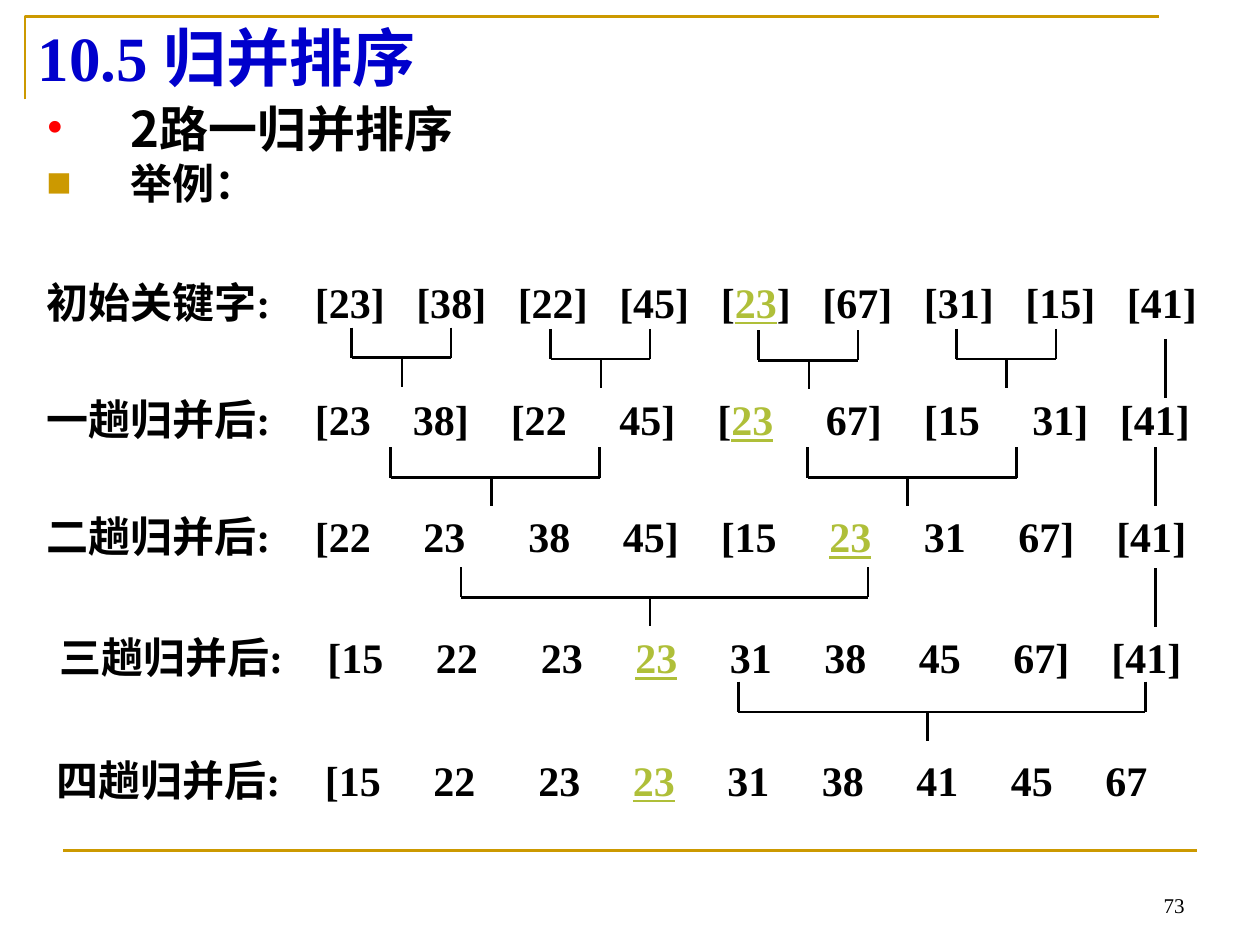
from dataclasses import dataclass

from lxml.etree import SubElement as Sub
from pptx import Presentation
from pptx.dml.color import RGBColor as RGB
from pptx.enum.shapes import MSO_CONNECTOR as Conn
from pptx.enum.text import MSO_ANCHOR as Anchor, PP_ALIGN as Align
from pptx.oxml.ns import qn
from pptx.util import Inches, Pt


@dataclass(frozen=True)
class Theme:
    serif: str = "Times New Roman"
    sans: str = "Noto Sans CJK SC"
    black: str = "000000"
    blue: str = "0000CC"
    gold: str = "CC9900"
    red: str = "FF0000"
    green: str = "AFBF39"
    title: int = 36
    head: int = 28
    text: int = 24
    page: int = 12
    line: float = 1.5


@dataclass(frozen=True)
class Row:
    """One sorting pass; gaps count the space widths between keys, * marks the second 23."""
    label: str
    x: float
    y: float
    keys: str
    gaps: tuple[int, ...]


@dataclass(frozen=True)
class Merge:
    left: float
    right: float
    top: float
    stem: float


@dataclass(frozen=True)
class Item:
    text: str
    size: int
    mark: str
    color: str
    before: int


T = Theme()
SHIFT = 2.13  # from label to keys
DROP = 0.24  # height of a merge arm
FALL = 0.47  # height of a whole merge

ROWS = [
    Row("初始关键字:", 0.27, 2.18,
        "[23] [38] [22] [45] [*23] [67] [31] [15] [41]", (3,) * 8),
    Row("一趟归并后:", 0.27, 3.11,
        "[23 38] [22 45] [*23 67] [15 31] [41]", (4, 4, 5, 4, 5, 4, 5, 3)),
    Row("二趟归并后:", 0.27, 4.04,
        "[22 23 38 45] [15 *23 31 67] [41]", (5, 6, 5, 4, 5, 5, 5, 4)),
    Row("三趟归并后:", 0.37, 5.0,
        "[15 22 23 *23 31 38 45 67] [41]", (5, 6, 5, 5, 5, 5, 5, 4)),
    Row("四趟归并后:", 0.35, 5.97,
        "[15 22 23 *23 31 38 41 45 67", (5, 6) + (5,) * 6),
]
PAIRS = [(2.79, 2.6), (4.37, 2.61), (6.02, 2.62), (7.59, 2.61)]
MERGES = [Merge(x, x + 0.79, y, x + 0.4) for x, y in PAIRS] + [
    Merge(3.1, 4.76, 3.55, 3.9),
    Merge(6.41, 8.07, 3.55, 7.2),
    Merge(3.66, 6.89, 4.5, 5.16),
    Merge(5.86, 9.09, 5.41, 7.36),
]
CARRIES = [(9.25, 2.69), (9.17, 3.55), (9.17, 4.51)]
ITEMS = [
    Item("2路一归并排序", T.head, "•", T.red, 0),
    Item("举例：", T.text, "■", T.gold, 6),
]


def add_box(slide, x: float, y: float, w: float, h: float, anchor=Anchor.MIDDLE):
    frame = slide.shapes.add_textbox(Inches(x), Inches(y), Inches(w), Inches(h)).text_frame
    frame.word_wrap = True
    frame.vertical_anchor = anchor
    return frame


def add_run(para, text: str, size: int, color: str = T.black, face: str = T.serif,
            bold: bool = True, under: bool = False) -> None:
    run = para.add_run()
    run.text = text
    font = run.font
    font.name, font.size, font.bold = face, Pt(size), bold
    font.color.rgb = RGB.from_string(color)
    if under:
        font.underline = True
    Sub(run._r.get_or_add_rPr(), qn("a:ea"), typeface=T.sans)


def add_line(slide, x1: float, y1: float, x2: float, y2: float, color: str = T.black) -> None:
    line = slide.shapes.add_connector(
        Conn.STRAIGHT, Inches(x1), Inches(y1), Inches(x2), Inches(y2))
    line.line.color.rgb = RGB.from_string(color)
    line.line.width = Pt(T.line)
    Sub(line._element.spPr, qn("a:effectLst"))


def add_frame(slide) -> None:
    """Draw the corner rule, the foot rule and the page number."""
    pen = slide.shapes.build_freeform(Inches(0.2), Inches(0.79))
    pen.add_line_segments(
        [(Inches(0.2), Inches(0.13)), (Inches(9.2), Inches(0.13))], close=False)
    rule = pen.convert_to_shape()
    rule.shadow.inherit = False
    rule.fill.background()
    rule.line.color.rgb = RGB.from_string(T.gold)
    rule.line.width = Pt(T.line)
    add_line(slide, 0.5, 6.75, 9.5, 6.75, T.gold)
    para = add_box(slide, 7.17, 6.83, 2.33, 0.5, Anchor.BOTTOM).paragraphs[0]
    para.alignment = Align.RIGHT
    add_run(para, "73", T.page, bold=False)


def add_items(slide) -> None:
    frame = add_box(slide, 0.27, 0.76, 9.37, 4.8, Anchor.TOP)
    frame.margin_top = Inches(0.11)
    for i, item in enumerate(ITEMS):
        para = frame.add_paragraph() if i else frame.paragraphs[0]
        props = para._p.get_or_add_pPr()
        props.set("marL", str(Inches(0.67)))
        props.set("indent", str(-Inches(0.67)))
        Sub(Sub(props, qn("a:buClr")), qn("a:srgbClr"), val=item.color)
        Sub(props, qn("a:buFont"), typeface=T.serif)
        Sub(props, qn("a:buChar"), char=item.mark)
        para.line_spacing = 0.8
        if item.before:
            para.space_before = Pt(item.before)
        add_run(para, item.text, item.size, face=T.sans)


def key_width(key: str) -> float:
    """Width in inches: a digit is 1/2 em, a bracket 1/3 em."""
    ems = sum(1 / 2 if c.isdigit() else 1 / 3 for c in key if c != "*")
    return ems * T.text / 72


def add_row(slide, row: Row) -> None:
    label = add_box(slide, row.x, row.y, 2.05, 0.43)
    add_run(label.paragraphs[0], row.label, T.text)
    frame = add_box(slide, row.x + SHIFT, row.y, 7.15, 0.43)
    frame.margin_right = 0
    para = frame.paragraphs[0]
    tabs = Sub(para._p.get_or_add_pPr(), qn("a:tabLst"))
    keys = row.keys.split()
    stop = 0.0
    for key, gap in zip(keys, row.gaps):
        stop += key_width(key) + gap * T.text / 72 / 4
        Sub(tabs, qn("a:tab"), pos=str(Inches(stop)), algn="l")
    before, _, after = "\t".join(keys).partition("*23")
    add_run(para, before, T.text)
    add_run(para, "23", T.text, T.green, under=True)
    add_run(para, after, T.text)


def add_merge(slide, m: Merge) -> None:
    bar = m.top + DROP
    for x in (m.left, m.right):
        add_line(slide, x, m.top, x, bar)
    add_line(slide, m.left, bar, m.right, bar)
    add_line(slide, m.stem, bar, m.stem, m.top + FALL)


def main() -> None:
    deck = Presentation()
    deck.slide_width, deck.slide_height = Inches(10), Inches(7.5)
    slide = deck.slides.add_slide(deck.slide_layouts[6])
    add_frame(slide)
    title = add_box(slide, 0.2, 0.13, 9, 0.71).paragraphs[0]
    title.line_spacing = 0.9
    add_run(title, "10.5 归并排序", T.title, T.blue)
    add_items(slide)
    for row in ROWS:
        add_row(slide, row)
    for merge in MERGES:
        add_merge(slide, merge)
    for x, y in CARRIES:
        add_line(slide, x, y, x, y + FALL)
    deck.save("out.pptx")


if __name__ == "__main__":
    main()
